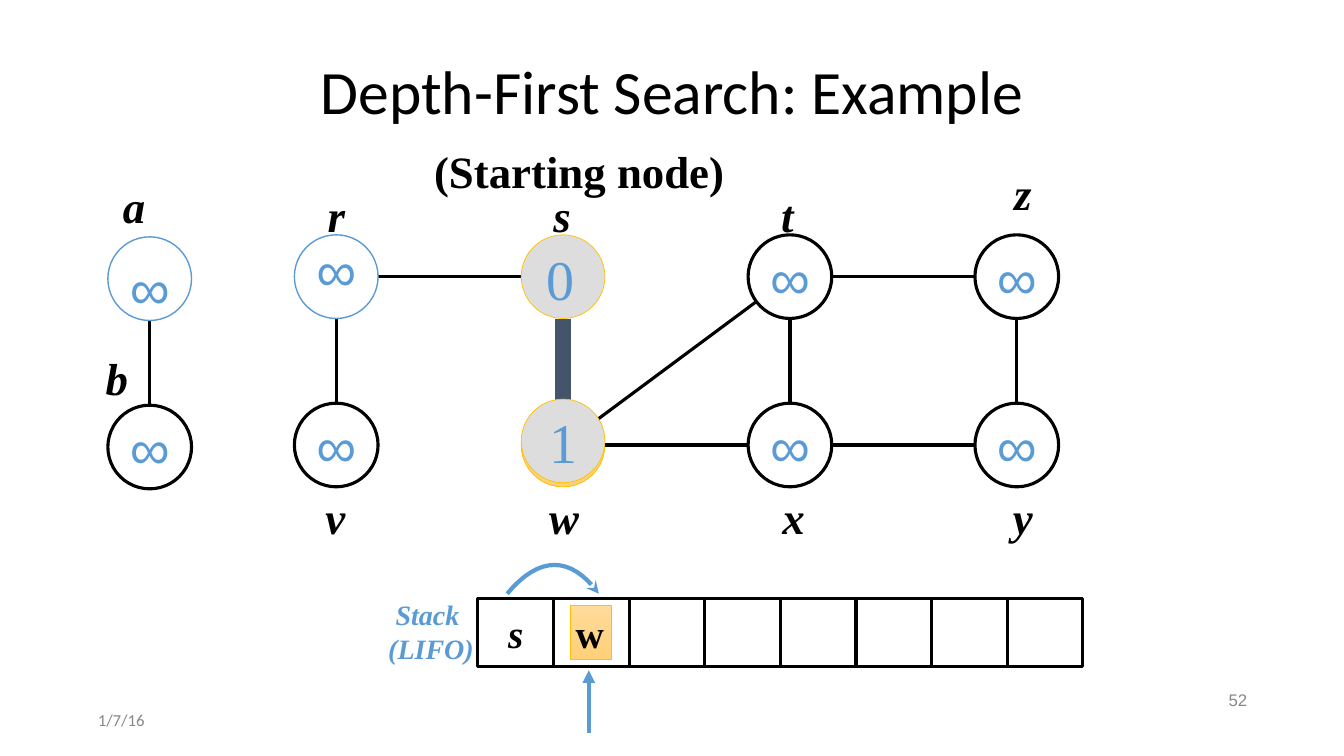
import math
from dataclasses import dataclass

import pptx
import pptx.util
import pptx.dml.color
import pptx.enum.shapes
import pptx.enum.text
import pptx.oxml
import pptx.oxml.ns

SHAPE = pptx.enum.shapes.MSO_SHAPE
ALIGN = pptx.enum.text.PP_ALIGN


@dataclass(frozen=True)
class Theme:
    ink: str = "000000"
    paper: str = "FFFFFF"
    blue: str = "5B9BD5"
    slate: str = "44546A"
    gold: str = "FFC000"
    visited: str = "DDDDDD"
    muted: str = "888888"
    glow: tuple = ("FFDB9B", "FFD078")
    heading: str = "Calibri"
    symbol: str = "Arial"
    serif: str = "Times New Roman"
    title_size: int = 44
    value_size: int = 40
    label_size: int = 32
    cell_size: int = 28
    stack_size: int = 20
    footer_size: int = 12


class Board:
    def __init__(self, prs, layout, theme):
        self.s = prs.slides.add_slide(layout)
        self.theme = theme

    def px(self, *values):
        return [pptx.util.Emu(round(v * 9144)) for v in values]

    def rgb(self, color):
        return pptx.dml.color.RGBColor.from_string(color)

    def stroke(self, sp, color, width, arrow=None):
        sp.line.color.rgb = self.rgb(color)
        sp.line.width = pptx.util.Pt(width)
        if arrow:
            ln = sp._element.spPr.find(pptx.oxml.ns.qn("a:ln"))
            end = pptx.oxml.parse_xml(f'<a:tailEnd {pptx.oxml.ns.nsdecls("a")} type="{arrow}"/>')
            ln.append(end)

    def set_text(self, sp, lines, size, font, color, align=ALIGN.CENTER, bold=False,
                 italic=False, wrap=False, spacing=None, grow=True):
        tf = sp.text_frame
        tf.margin_left = tf.margin_right = tf.margin_top = tf.margin_bottom = self.px(5)[0]
        tf.vertical_anchor = pptx.enum.text.MSO_ANCHOR.MIDDLE
        tf.word_wrap = wrap
        fit = pptx.enum.text.MSO_AUTO_SIZE
        tf.auto_size = fit.SHAPE_TO_FIT_TEXT if grow else fit.NONE
        for i, line in enumerate(lines.split("\n")):
            p = tf.add_paragraph() if i else tf.paragraphs[0]
            p.alignment = align
            if spacing:
                p.line_spacing = spacing
            r = p.add_run()
            r.text = line
            r.font.size = pptx.util.Pt(size)
            r.font.name = font
            r.font.color.rgb = self.rgb(color)
            r.font.bold = bold
            r.font.italic = italic

    def title(self, box, text):
        sp = self.s.shapes.title
        sp.left, sp.top, sp.width, sp.height = self.px(*box)
        self.set_text(sp, text, self.theme.title_size, self.theme.heading, self.theme.ink,
                      wrap=True, spacing=0.9, grow=False)

    def text(self, box, lines, size, font, color, **style):
        sp = self.s.shapes.add_textbox(*self.px(*box))
        self.set_text(sp, lines, size, font, color, **style)

    def shape(self, kind, box, line, width, fill=None):
        sp = self.s.shapes.add_shape(kind, *self.px(*box))
        sp.shadow.inherit = False
        if fill is None:
            sp.fill.background()
        elif isinstance(fill, tuple):
            sp.fill.gradient()
            sp.fill.gradient_angle = 270
            for stop, color in zip(sp.fill.gradient_stops, fill):
                stop.color.rgb = self.rgb(color)
        else:
            sp.fill.solid()
            sp.fill.fore_color.rgb = self.rgb(fill)
        self.stroke(sp, line, width)
        return sp

    def connector(self, start, end, color, width, arrow=None):
        straight = pptx.enum.shapes.MSO_CONNECTOR.STRAIGHT
        sp = self.s.shapes.add_connector(straight, *self.px(*start, *end))
        self.stroke(sp, color, width, arrow)
        effects = pptx.oxml.parse_xml(f'<a:effectLst {pptx.oxml.ns.nsdecls("a")}/>')
        sp._element.spPr.append(effects)

    def curve(self, controls, color, width, arrow, steps=16):
        points = []
        for i in range(steps + 1):
            t = i / steps
            weights = [math.comb(3, k) * t ** k * (1 - t) ** (3 - k) for k in range(4)]
            points.append(self.px(*(sum(w * c[axis] for w, c in zip(weights, controls))
                                    for axis in (0, 1))))
        builder = self.s.shapes.build_freeform(*points[0])
        builder.add_line_segments(points[1:], close=False)
        sp = builder.convert_to_shape()
        sp.shadow.inherit = False
        sp.fill.background()
        self.stroke(sp, color, width, arrow)


NODE = 83
TOP, BOTTOM = 233, 400
COL = [292 + 225 * i for i in range(4)]
NODES = {
    "a": (107, TOP + 2), "b": (107, BOTTOM + 2),
    "r": (COL[0], TOP), "v": (COL[0], BOTTOM),
    "s": (COL[1], TOP), "w": (COL[1], BOTTOM),
    "t": (COL[2], TOP), "x": (COL[2], BOTTOM),
    "z": (COL[3], TOP), "y": (COL[3], BOTTOM),
}
EDGES = ["ab", "rs", "rv", "wt", "wx", "tx", "tz", "xy", "zy"]
LABELS = {
    "a": (116, 174, 34), "b": (99, 345, 34), "r": (319, 183, 29), "s": (543, 183, 29),
    "t": (769, 183, 24), "z": (1000, 161, 29), "v": (317, 483, 31), "w": (539, 483, 41),
    "x": (770, 483, 34), "y": (999, 483, 31),
}
DISTANCES = {"s": ("0", 536, 239), "w": ("1", 539, 401)}
CELL_W, CELL_H, STACK_X, STACK_Y = 75, 67, 474, 594


def draw_edge(board, pair, color, width):
    (x1, y1), (x2, y2) = [[v + NODE / 2 for v in NODES[n]] for n in pair]
    length = math.hypot(x2 - x1, y2 - y1)
    dx, dy = [d * NODE / 2 / length for d in (x2 - x1, y2 - y1)]
    board.connector((x1 + dx, y1 + dy), (x2 - dx, y2 - dy), color, width)


def draw_graph(board, th):
    w_x, w_y = NODES["w"]
    board.shape(SHAPE.OVAL, (w_x, w_y, NODE, NODE), th.gold, 0.5, th.glow)
    for pair in EDGES:
        draw_edge(board, pair, th.ink, 2.25)
    draw_edge(board, "sw", th.slate, 11)
    for name, (x, y) in NODES.items():
        if name in DISTANCES:
            value, value_x, value_y = DISTANCES[name]
            lift = 4 if name == "w" else 0
            board.shape(SHAPE.OVAL, (x, y - lift, NODE, NODE), th.gold, 0.5, th.visited)
            board.text((value_x, value_y, 39, 73), value, th.value_size, th.serif, th.blue)
        else:
            if name in "ar":
                board.shape(SHAPE.OVAL, (x, y, NODE, NODE), th.blue, 1, th.paper)
            else:
                board.shape(SHAPE.OVAL, (x, y, NODE, NODE), th.ink, 2.25)
            drop = 17 if name == "a" else 9
            board.text((x + 16, y + drop, 51, 66), "∞", th.value_size, th.symbol, th.blue,
                       spacing=0.7 if name == "r" else None)
    for name, (x, y, width) in LABELS.items():
        board.text((x, y, width, 60), name, th.label_size, th.serif, th.ink,
                   bold=True, italic=True)
    board.text((425, 139, 299, 60), "(Starting node)", th.label_size, th.serif, th.ink, bold=True)


def draw_stack(board, th):
    for i in range(8):
        board.shape(SHAPE.RECTANGLE, (STACK_X + CELL_W * i, STACK_Y, CELL_W, CELL_H), th.ink, 2.25)
    board.text((498, 601, 27, 53), "s", th.cell_size, th.serif, th.ink, bold=True, italic=True)
    top = board.shape(SHAPE.RECTANGLE, (566, 601, 40, 53), th.gold, 0.5, th.glow)
    board.set_text(top, "w", th.cell_size, th.serif, th.ink, align=ALIGN.LEFT, bold=True)
    board.curve([(503, 589), (535, 551), (566, 551), (594, 589)], th.blue, 3, "stealth")
    board.connector((584, 727), (584, 665), th.blue, 3, "triangle")
    board.text((377, 590, 101, 73), "Stack \n(LIFO)", th.stack_size, th.serif, th.blue,
               bold=True, italic=True, wrap=True)


def main():
    prs = pptx.Presentation()
    prs.slide_width, prs.slide_height = pptx.util.Inches(13.33), pptx.util.Inches(7.5)
    th = Theme()
    board = Board(prs, prs.slide_layouts.get_by_name("Title Only"), th)
    board.title((92, 40, 1150, 107), "Depth-First Search: Example")
    draw_graph(board, th)
    draw_stack(board, th)
    board.text((942, 680, 300, 29), "52", th.footer_size, th.symbol, th.muted,
               align=ALIGN.RIGHT, wrap=True)
    board.text((92, 700, 300, 29), "1/7/16", th.footer_size, th.heading, th.muted,
               align=ALIGN.LEFT, wrap=True)
    prs.save("out.pptx")


if __name__ == "__main__":
    main()
